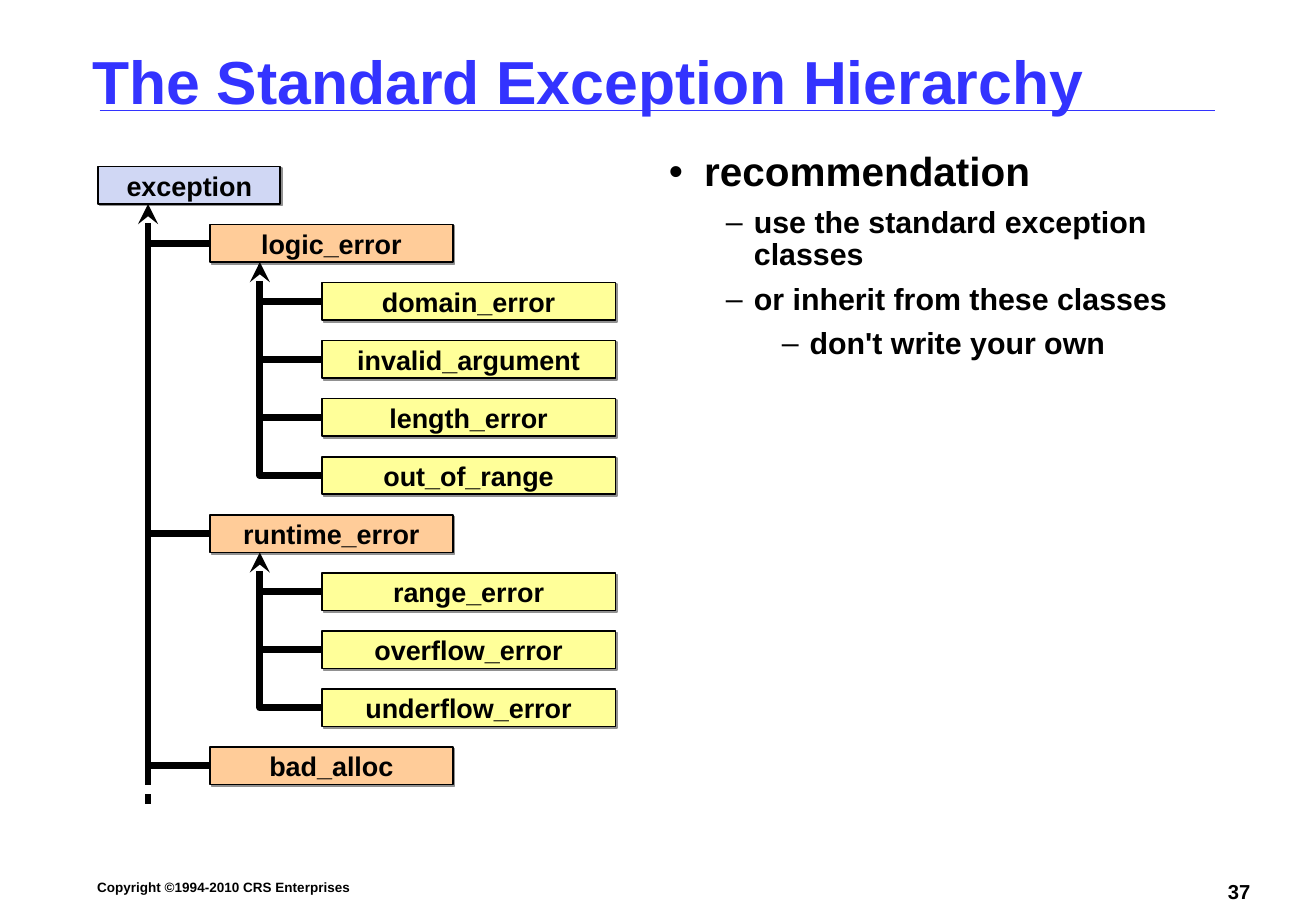
"""Builds a slide showing the standard exception class hierarchy."""
from lxml.etree import SubElement
from pptx import Presentation
from pptx.dml.color import RGBColor
from pptx.enum.shapes import MSO_CONNECTOR, MSO_SHAPE
from pptx.enum.text import MSO_ANCHOR, PP_ALIGN
from pptx.oxml import parse_xml
from pptx.oxml.ns import nsdecls, qn
from pptx.util import Inches, Pt

BLACK, BLUE = "000000", "3333FF"
ROW_TOP, ROW_STEP, BOX_HEIGHT = 1.37, 0.478, 0.31
COLUMN_LEFT, COLUMN_STEP, TRUNK_INSET = 0.81, 0.92, 0.41
BOX_WIDTHS = [1.5, 2, 2.42]
BOX_FILLS = ["D0D7F4", "FFCC99", "FFFF99"]


def add_run(paragraph, text, size, color=BLACK):
    run = paragraph.add_run()
    run.text = text
    run.font.name = "Arial"
    run.font.size = Pt(size)
    run.font.bold = True
    run.font.color.rgb = RGBColor.from_string(color)


def add_line(points, width, color=BLACK, arrow=False):
    corners = [(Inches(x), Inches(y)) for x, y in points]
    if len(corners) == 2:
        shape = slide.shapes.add_connector(MSO_CONNECTOR.STRAIGHT, *corners[0], *corners[1])
    else:
        builder = slide.shapes.build_freeform(*corners[0])
        builder.add_line_segments(corners[1:], close=False)
        shape = builder.convert_to_shape()
        shape.fill.background()
    shape.line.width = Pt(width)
    shape.line.color.rgb = RGBColor.from_string(color)
    outline = shape.line._get_or_add_ln()
    SubElement(outline, qn("a:round"))
    if arrow:
        SubElement(outline, qn("a:headEnd"), type="stealth")
    SubElement(shape._element.spPr, qn("a:effectLst"))


presentation = Presentation()
presentation.slide_width, presentation.slide_height = Inches(10.84), Inches(7.5)
slide = presentation.slides.add_slide(presentation.slide_layouts[6])

add_line([(0.82, 0.91), (10.01, 0.91)], 1, BLUE)

labels = [
    ("Copyright ©1994-2010 CRS Enterprises", (0.75, 7.22, 2.19, 0.17), 8, BLACK, PP_ALIGN.LEFT, False),
    ("37", (9.44, 7.22, 0.91, 0.24), 12, BLACK, PP_ALIGN.RIGHT, True),
    ("The Standard Exception Hierarchy", (0.71, 0.34, 9.41, 0.64), 36, BLUE, PP_ALIGN.LEFT, True),
]
for text, place, size, color, alignment, wrap in labels:
    frame = slide.shapes.add_textbox(*map(Inches, place)).text_frame
    frame.word_wrap = wrap
    frame.margin_left = frame.margin_right = Inches(0.05)
    frame.margin_top = frame.margin_bottom = Inches(0.02)
    frame.paragraphs[0].alignment = alignment
    add_run(frame.paragraphs[0], text, size, color)

classes = [
    ("exception", 0),
    ("logic_error", 1),
    ("domain_error", 2),
    ("invalid_argument", 2),
    ("length_error", 2),
    ("out_of_range", 2),
    ("runtime_error", 1),
    ("range_error", 2),
    ("overflow_error", 2),
    ("underflow_error", 2),
    ("bad_alloc", 1),
]
for row, (name, level) in enumerate(classes):
    left, top = COLUMN_LEFT + level * COLUMN_STEP, ROW_TOP + row * ROW_STEP
    place = (left, top, BOX_WIDTHS[level], BOX_HEIGHT)
    shape = slide.shapes.add_shape(MSO_SHAPE.RECTANGLE, *map(Inches, place))
    shape.fill.solid()
    shape.fill.fore_color.rgb = RGBColor.from_string(BOX_FILLS[level])
    shape.line.width = Pt(1)
    shape.line.color.rgb = RGBColor.from_string(BLACK)
    shape.shadow.inherit = False
    shape._element.spPr.find(qn("a:effectLst")).append(parse_xml(
        f'<a:outerShdw {nsdecls("a")} dist="{Pt(1.4)}" dir="2700000" algn="ctr" rotWithShape="0">'
        '<a:srgbClr val="919191"/></a:outerShdw>'))
    frame = shape.text_frame
    frame.word_wrap = False
    frame.vertical_anchor = MSO_ANCHOR.MIDDLE
    frame.paragraphs[0].alignment = PP_ALIGN.CENTER
    add_run(frame.paragraphs[0], name, 16)

parent_row = 0
for row, (name, level) in enumerate(classes):
    if level == 1:
        parent_row = row
    if level > 0:
        left = COLUMN_LEFT + level * COLUMN_STEP
        trunk = left - COLUMN_STEP + TRUNK_INSET
        middle = ROW_TOP + row * ROW_STEP + BOX_HEIGHT / 2
        if level == 2 and classes[row + 1][1] == 1:
            parent_bottom = ROW_TOP + parent_row * ROW_STEP + BOX_HEIGHT
            add_line([(trunk, parent_bottom), (trunk, middle), (left, middle)], 4, arrow=True)
        else:
            add_line([(left, middle), (trunk, middle)], 4)

root_trunk = COLUMN_LEFT + TRUNK_INSET
add_line([(root_trunk, ROW_TOP + BOX_HEIGHT), (root_trunk, 6.46)], 4, arrow=True)
add_line([(root_trunk, 6.54), (root_trunk, 6.62)], 4)

advice = [
    ("recommendation", 0, 24, "•", 0.29, 0.29),
    ("use the standard exception classes", 1, 18, "–", 0.7, 0.23),
    ("or inherit from these classes", 1, 18, "–", 0.7, 0.23),
    ("don't write your own", 2, 18, "–", 1.16, 0.23),
]
frame = slide.shapes.add_textbox(*map(Inches, (5.42, 1.2, 4.7, 5.89))).text_frame
frame.word_wrap = True
frame.margin_left = frame.margin_right = Inches(0.09)
for index, (text, level, size, bullet, indent, hanging) in enumerate(advice):
    paragraph = frame.add_paragraph() if index else frame.paragraphs[0]
    paragraph.level = level
    paragraph.line_spacing = 0.9
    paragraph.space_before = Pt(6.8 if index else 0)
    properties = paragraph._p.get_or_add_pPr()
    properties.set("marL", str(Inches(indent)))
    properties.set("indent", str(-Inches(hanging)))
    SubElement(SubElement(properties, qn("a:buClr")), qn("a:srgbClr"), val=BLACK)
    SubElement(properties, qn("a:buFont"), typeface="Arial")
    SubElement(properties, qn("a:buChar"), char=bullet)
    add_run(paragraph, text, size)

presentation.save("out.pptx")
